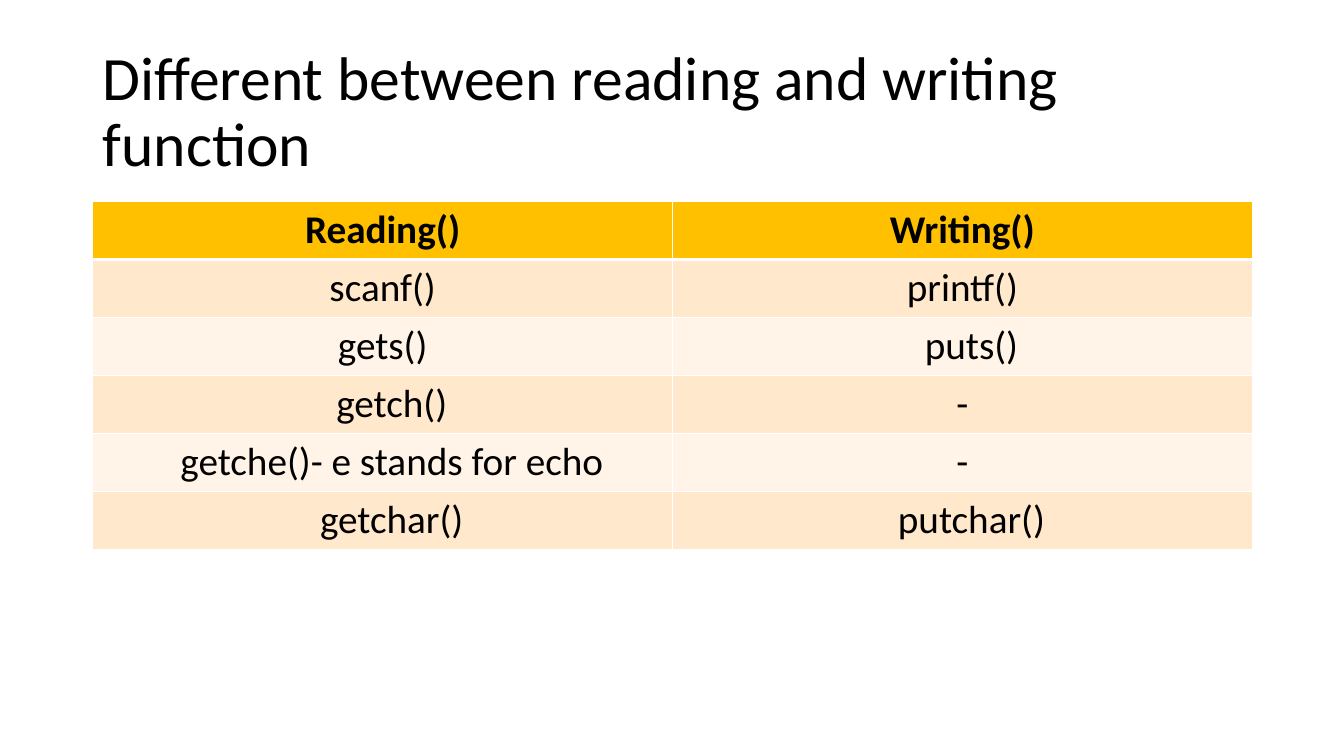
from lxml import etree
from pptx import Presentation
from pptx.dml.color import RGBColor
from pptx.enum.text import MSO_ANCHOR, PP_ALIGN
from pptx.oxml.ns import qn
from pptx.util import Inches, Pt

COLORS = {
    "text": "000000",
    "header": "FFC000",
    "odd_row": "FFE8CC",
    "even_row": "FFF4E7",
    "border": "FFFFFF",
}
FONT = "Calibri"
LEFT, WIDTH = 0.92, 11.5
ROW_HEIGHT = 0.575
SHIFTED = {"puts()", "getch()", "getche()- e stands for echo", "getchar()", "putchar()"}

FUNCTIONS = [
    ("Reading()", "Writing()"),
    ("scanf()", "printf()"),
    ("gets()", "puts()"),
    ("getch()", "-"),
    ("getche()- e stands for echo", "-"),
    ("getchar()", "putchar()"),
]


def style_text(paragraph, size, bold=False):
    paragraph.font.name = FONT
    paragraph.font.size = Pt(size)
    paragraph.font.bold = bold
    paragraph.font.color.rgb = RGBColor.from_string(COLORS["text"])


def add_border(cell, side, points):
    line = etree.SubElement(cell._tc.get_or_add_tcPr(), qn(f"a:ln{side}"), w=str(Pt(points)))
    fill = etree.SubElement(line, qn("a:solidFill"))
    etree.SubElement(fill, qn("a:srgbClr"), val=COLORS["border"])


prs = Presentation()
prs.slide_width = Inches(13.33)
prs.slide_height = Inches(7.5)
slide = prs.slides.add_slide(prs.slide_layouts[6])

title = slide.shapes.add_textbox(Inches(LEFT), Inches(0.4), Inches(WIDTH), Inches(1.45)).text_frame
title.word_wrap = True
title.vertical_anchor = MSO_ANCHOR.MIDDLE
heading = title.paragraphs[0]
heading.text = "Different between reading and writing function"
heading.line_spacing = 0.9
style_text(heading, 44)

comparison = slide.shapes.add_table(
    len(FUNCTIONS), 2, Inches(LEFT), Inches(2), Inches(WIDTH), Inches(ROW_HEIGHT * len(FUNCTIONS))
).table

for row, names in enumerate(FUNCTIONS):
    row_color = "header" if row == 0 else "odd_row" if row % 2 else "even_row"
    for column, name in enumerate(names):
        cell = comparison.cell(row, column)
        cell.text = name
        if name in SHIFTED:
            cell.margin_left = Inches(0.28)
        entry = cell.text_frame.paragraphs[0]
        entry.alignment = PP_ALIGN.CENTER
        style_text(entry, 28, bold=row == 0)
        for side in "LRTB":
            under_header = (row, side) in ((0, "B"), (1, "T"))
            add_border(cell, side, 3 if under_header else 1)
        cell.fill.solid()
        cell.fill.fore_color.rgb = RGBColor.from_string(COLORS[row_color])

prs.save("out.pptx")
